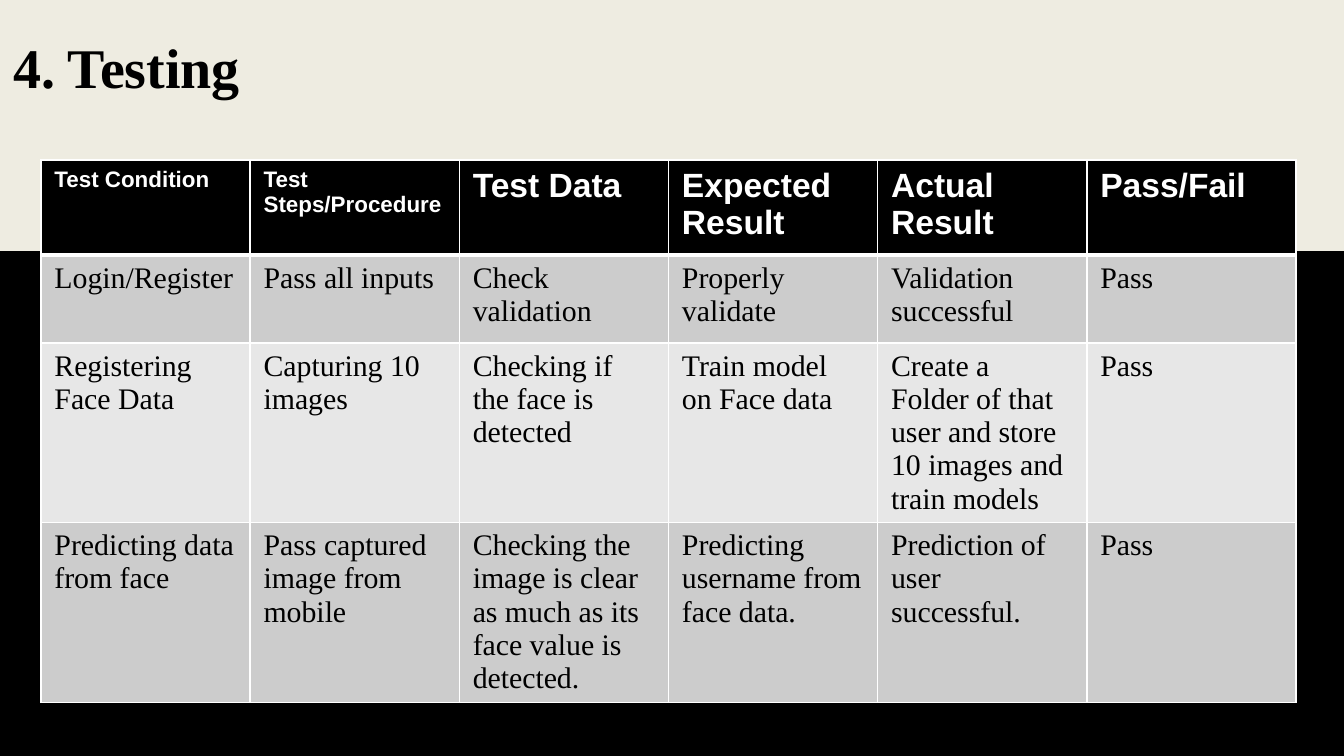
from lxml import etree
from pptx import Presentation
from pptx.dml.color import RGBColor
from pptx.enum import shapes, text
from pptx.oxml.ns import qn
from pptx.util import Emu, Pt

EMU_PER_PX = 914400 / 134.4
COLORS = {"black": "000000", "cream": "EEECE1", "white": "FFFFFF",
          "dark_row": "CCCCCC", "light_row": "E7E7E7"}
SERIF, SANS = "Times New Roman", "Arial"

HEADERS = [("Test Condition", 12), ("Test Steps/Procedure", 12), ("Test Data", 18),
           ("Expected Result", 18), ("Actual Result", 18), ("Pass/Fail", 18)]
TESTS = [
    ["Login/Register", "Pass all inputs", "Check validation",
     "Properly validate", "Validation successful", "Pass"],
    ["Registering Face Data", "Capturing 10 images", "Checking if the face is detected",
     "Train model on Face data",
     "Create a Folder of that user and store 10 images and train models", "Pass"],
    ["Predicting data from face", "Pass captured image from mobile",
     "Checking the image is clear as much as its face value is detected.",
     "Predicting username from face data.", "Prediction of user successful.", "Pass"],
]
ROW_HEIGHTS = [95, 88, 179, 180]


def px(length):
    return Emu(round(length * EMU_PER_PX))


def color(name):
    return RGBColor.from_string(COLORS[name])


def write(text_frame, words, size, font=SERIF, fill="black", bold=False):
    paragraph = text_frame.paragraphs[0]
    paragraph.alignment = text.PP_ALIGN.LEFT
    run = paragraph.add_run()
    run.text = words
    run.font.name = font
    run.font.size = Pt(size)
    run.font.bold = bold
    run.font.color.rgb = color(fill)


def border_cell(cell, bottom=1):
    properties = cell._tc.get_or_add_tcPr()
    widths = {"a:lnL": 1, "a:lnR": 1, "a:lnT": 1, "a:lnB": bottom}
    # Borders come before the fill in the cell properties
    for position, (tag, width) in enumerate(widths.items()):
        line = etree.Element(qn(tag), w=str(Pt(width)))
        solid = etree.SubElement(line, qn("a:solidFill"))
        etree.SubElement(solid, qn("a:srgbClr"), val=COLORS["white"])
        properties.insert(position, line)


def fill_cell(cell, words, size, background, bottom=1, **text_format):
    cell.fill.solid()
    cell.fill.fore_color.rgb = color(background)
    border_cell(cell, bottom)
    write(cell.text_frame, words, size, **text_format)


def add_background(slide, left, top, width, height):
    slide.background.fill.solid()
    slide.background.fill.fore_color.rgb = color("black")
    band = slide.shapes.add_shape(shapes.MSO_SHAPE.RECTANGLE,
                                  px(left), px(top), px(width), px(height))
    band.shadow.inherit = False
    band.fill.solid()
    band.fill.fore_color.rgb = color("cream")
    band.line.fill.background()
    # Send the band behind the title
    slide.shapes._spTree.insert(2, band._element)


def add_title(slide, left, top, width, height):
    title = slide.shapes.title
    title.left, title.top, title.width, title.height = map(px, (left, top, width, height))
    frame = title.text_frame
    frame.auto_size = text.MSO_AUTO_SIZE.NONE
    frame.word_wrap = True
    frame.vertical_anchor = text.MSO_ANCHOR.BOTTOM
    frame.margin_left = frame.margin_right = frame.margin_top = frame.margin_bottom = px(13)
    write(frame, "4. Testing", 30, bold=True)


def add_test_table(slide, left, top, width, row_heights):
    table = slide.shapes.add_table(len(row_heights), len(HEADERS), px(left), px(top),
                                   px(width), px(sum(row_heights))).table
    for row, height in zip(table.rows, row_heights):
        row.height = px(height)
    # Header row
    for column, (words, size) in enumerate(HEADERS):
        fill_cell(table.cell(0, column), words, size, "black", bottom=3,
                  font=SANS, fill="white", bold=True)
    # One row per test, in alternating greys
    for row, test in enumerate(TESTS, start=1):
        background = "dark_row" if row % 2 else "light_row"
        for column, words in enumerate(test):
            fill_cell(table.cell(row, column), words, 16, background)
    # The first test shares the thick rule under the header
    for column in range(len(HEADERS)):
        top_line = table.cell(1, column)._tc.tcPr.find(qn("a:lnT"))
        top_line.set("w", str(Pt(3)))


def main():
    presentation = Presentation()
    presentation.slide_width, presentation.slide_height = px(1344), px(756)
    slide = presentation.slides.add_slide(presentation.slide_layouts[5])
    add_background(slide, 0, 0, 1344, 251)
    add_title(slide, 0, 9, 1103, 104)
    add_test_table(slide, 41, 160, 1255, ROW_HEIGHTS)
    presentation.save("out.pptx")


if __name__ == "__main__":
    main()
